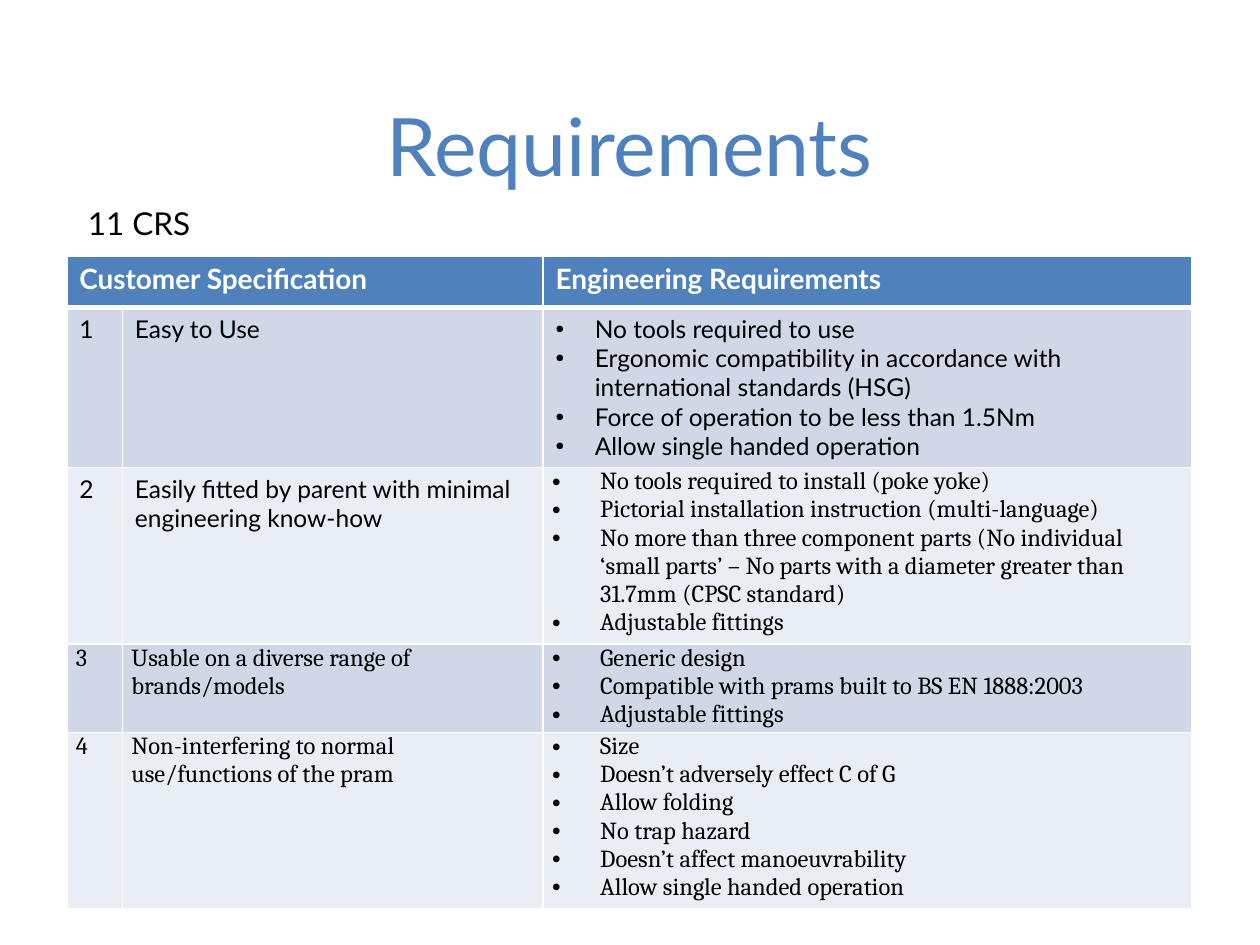
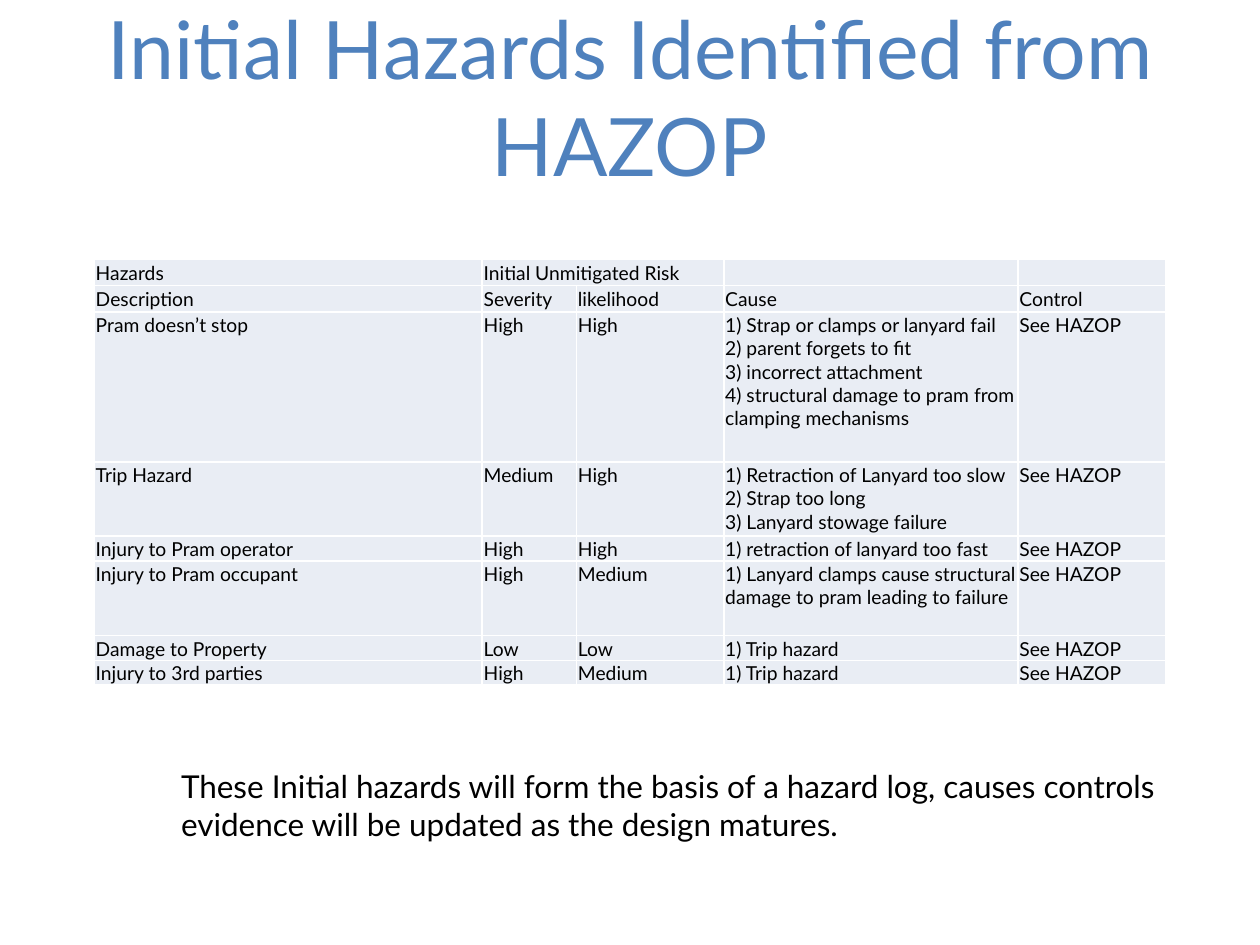
from lxml.etree import SubElement
from pptx import Presentation
from pptx.dml.color import RGBColor
from pptx.enum.text import MSO_ANCHOR as Anchor, PP_ALIGN as Align
from pptx.oxml.ns import qn
from pptx.util import Cm, Pt

# Content
NEEDS = [
    ("Customer Specification", "", ["Engineering Requirements"]),
    ("1", "Easy to Use", [
        "No tools required to use",
        "Ergonomic compatibility in accordance with international standards (HSG)",
        "Force of operation to be less than 1.5Nm",
        "Allow single handed operation"]),
    ("2", "Easily fitted by parent with minimal engineering know-how", [
        "No tools required to install (poke yoke)",
        "Pictorial installation instruction (multi-language)",
        "No more than three component parts (No individual ‘small parts’ – "
        "No parts with a diameter greater than 31.7mm (CPSC standard)",
        "Adjustable fittings"]),
    ("3", "Usable on a diverse range of brands/models", [
        "Generic design",
        "Compatible with prams built to BS EN 1888:2003",
        "Adjustable fittings"]),
    ("4", "Non-interfering to normal use/functions of the pram", [
        "Size",
        "Doesn’t adversely effect C of G",
        "Allow folding",
        "No trap hazard",
        "Doesn’t affect manoeuvrability",
        "Allow single handed operation"]),
]
RISKS = [
    ("Hazards", "Initial Unmitigated Risk", "", [], ""),
    ("Description", "Severity", "likelihood", ["Cause"], "Control"),
    ("Pram doesn’t stop", "High", "High", [
        "1) Strap or clamps or lanyard fail",
        "2) parent forgets to fit",
        "3) incorrect attachment",
        "4) structural damage to pram from clamping mechanisms"], "See HAZOP"),
    ("Trip Hazard", "Medium", "High", [
        "1) Retraction of Lanyard too slow",
        "2) Strap too long",
        "3) Lanyard stowage failure"], "See HAZOP"),
    ("Injury to Pram operator", "High", "High",
     ["1) retraction of lanyard too fast"], "See HAZOP"),
    ("Injury to Pram occupant", "High", "Medium",
     ["1) Lanyard clamps cause structural damage to pram leading to failure"],
     "See HAZOP"),
    ("Damage to Property", "Low", "Low", ["1) Trip hazard"], "See HAZOP"),
    ("Injury to 3rd parties", "High", "Medium", ["1) Trip hazard"], "See HAZOP"),
]
NOTE = ("These Initial hazards will form the basis of a hazard log, "
        "causes controls evidence will be updated as the design matures.")

# Shared look
SANS, SERIF = "Lato", "Cambria"
BLUE, BAND, PALE = "4F81BD", "D0D8E8", "E9EDF4"
WHITE, BLACK = "FFFFFF", "000000"
# Cell margins in cm: left, top, right, bottom
LOOSE = (0.25, 0.13, 0.25, 0.13)
SNUG = (0.18, 0, 0.18, 0)
TIGHT = (0.03, 0.03, 0.03, 0)


def paint(hue):
    return RGBColor.from_string(hue)


def style(frame, size, hue=BLACK, face=SANS, bold=False, align=Align.LEFT):
    for para in frame.paragraphs:
        para.alignment = align
        for run in para.runs:
            font = run.font
            font.size, font.name, font.bold = Pt(size), face, bold
            font.color.rgb = paint(hue)
        if not para.runs:
            SubElement(para._p, qn("a:endParaRPr"), sz=str(size * 100))


def write(slide, text, box, size, hue=BLACK, align=Align.LEFT, anchor=Anchor.TOP):
    frame = slide.shapes.add_textbox(*map(Cm, box)).text_frame
    frame.word_wrap = True
    frame.vertical_anchor = anchor
    frame.text = text
    style(frame, size, hue, align=align)


def add_page(deck, title):
    slide = deck.slides.add_slide(deck.slide_layouts[6])
    write(slide, title, (1.52, 0.3, 22.35, 3.71), 46, BLUE, Align.CENTER, Anchor.BOTTOM)
    return slide


def add_grid(slide, left, top, wide, high):
    grid = slide.shapes.add_table(len(high), len(wide), Cm(left), Cm(top),
                                  Cm(sum(wide)), Cm(sum(high))).table
    grid.first_row = grid.horz_banding = False
    for col, size in zip(grid.columns, wide):
        col.width = Cm(size)
    for row, size in zip(grid.rows, high):
        row.height = Cm(size)
    return grid


def edge(cell, thick=""):
    props = cell._tc.get_or_add_tcPr()
    for side in "LRTB":
        width = Pt(3 if side in thick else 1)
        line = SubElement(props, qn("a:ln" + side), w=str(width))
        SubElement(SubElement(line, qn("a:solidFill")), qn("a:srgbClr"), val=WHITE)


def fill_cell(cell, text, back, pad, thick="", **look):
    edge(cell, thick)
    cell.fill.solid()
    cell.fill.fore_color.rgb = paint(back)
    (cell.margin_left, cell.margin_top,
     cell.margin_right, cell.margin_bottom) = map(Cm, pad)
    cell.text_frame.text = text if isinstance(text, str) else "\n".join(text)
    style(cell.text_frame, **look)


def add_dots(cell, indent):
    for para in cell.text_frame.paragraphs:
        props = para._p.get_or_add_pPr()
        props.set("marL", str(Cm(indent)))
        props.set("indent", str(-Cm(indent)))
        SubElement(props, qn("a:buFont"), typeface="Arial")
        SubElement(props, qn("a:buChar"), char="•")


def needs_page(deck):
    slide = add_page(deck, "Requirements")
    grid = add_grid(slide, 1.35, 5.16, (1.12, 8.48, 13.08), (1.04, 3.2, 3.4, 1.7, 3.4))
    for r, row in enumerate(NEEDS):
        for c, text in enumerate(row):
            cell = grid.cell(r, c)
            if r == 0:
                fill_cell(cell, text, BLUE, LOOSE, "B", size=16, hue=WHITE, bold=True)
                continue
            # The serif, snug cells start with the second list
            snug = r > 2 or (r == 2 and c == 2)
            fill_cell(cell, text, BAND if r % 2 else PALE, SNUG if snug else LOOSE,
                      "T" if r == 1 else "", size=14, face=SERIF if snug else SANS)
            if c == 2:
                add_dots(cell, 0.97 if snug else 0.79)
    grid.cell(0, 0).merge(grid.cell(0, 1))
    write(slide, "11 CRS", (1.52, 3.99, 9.4, 1.02), 18)


def risks_page(deck):
    slide = add_page(deck, "Initial Hazards Identified from HAZOP")
    write(slide, NOTE, (3.4, 15.34, 21.11, 1.8), 18)
    grid = add_grid(slide, 1.9, 5.23, (7.82, 1.9, 2.97, 5.93, 2.97),
                    (0.53, 0.53, 3.02, 1.5, 0.5, 1.5, 0.5, 0.5))
    for r, row in enumerate(RISKS):
        for c, text in enumerate(row):
            fill_cell(grid.cell(r, c), text, PALE, TIGHT, size=11)
    grid.cell(0, 1).merge(grid.cell(0, 2))


def main():
    deck = Presentation()
    deck.slide_width, deck.slide_height = Cm(25.4), Cm(19.05)
    needs_page(deck)
    risks_page(deck)
    deck.save("out.pptx")


if __name__ == "__main__":
    main()
